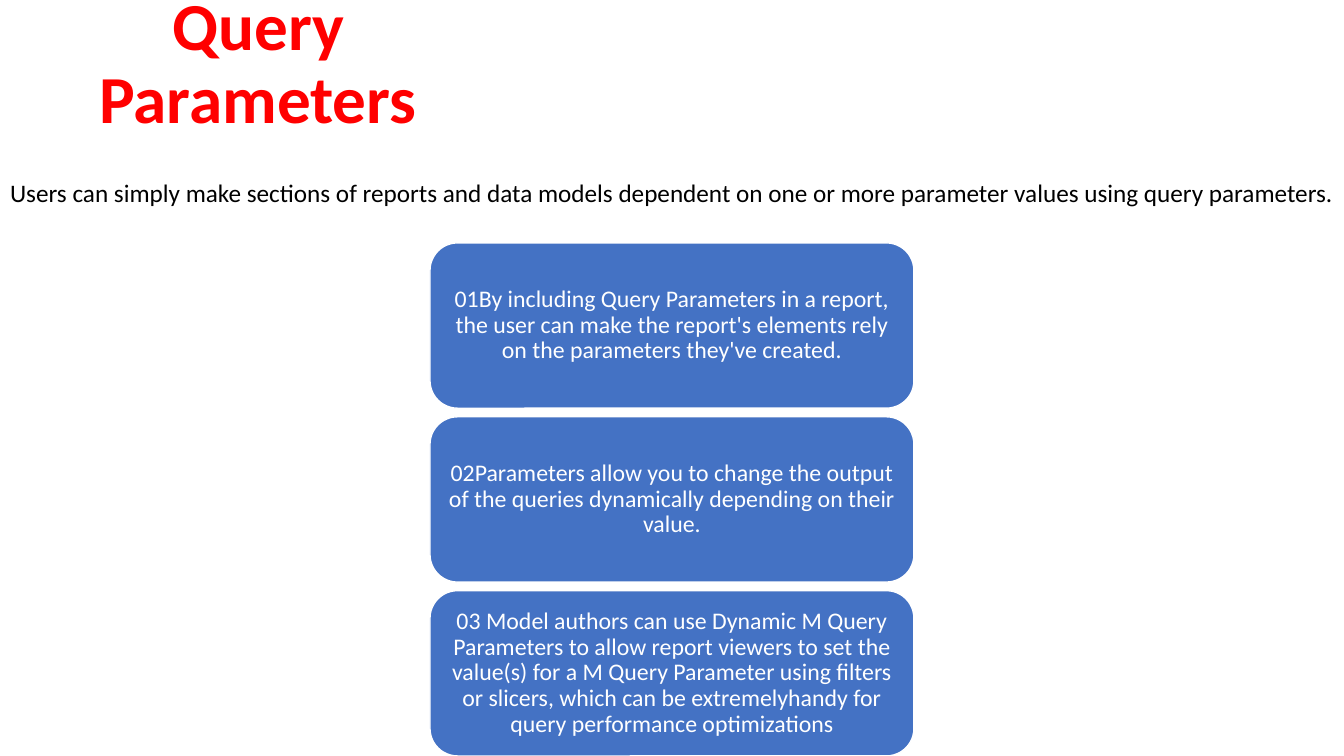
import pptx
import pptx.util
import pptx.dml.color
import pptx.enum.shapes
import pptx.enum.text
import pptx.oxml.ns
import lxml.etree

Inches = pptx.util.Inches
Pt = pptx.util.Pt
Align = pptx.enum.text.PP_ALIGN
Anchor = pptx.enum.text.MSO_ANCHOR

TITLE = "Query Parameters"
INTRO = (
    "Users can simply make sections of reports and data models dependent on "
    "one or more parameter values using query parameters."
)
POINTS = [
    "01By including Query Parameters in a report, the user can make the "
    "report's elements rely on the parameters they've created.",
    "02Parameters allow you to change the output of the queries dynamically "
    "depending on their value.",
    "03 Model authors can use Dynamic M Query Parameters to allow report "
    "viewers to set the value(s) for a M Query Parameter using filters or "
    "slicers, which can be extremelyhandy for query performance optimizations",
]
COLORS = {"title": "FF0000", "text": "000000", "box": "4472C4", "white": "FFFFFF"}
FONT = "Calibri"

SLIDE_WIDTH, SLIDE_HEIGHT = 13.33, 7.5
BOX_WIDTH, BOX_HEIGHT, BOX_GAP = 4.8, 1.64, 0.085
BOX_LEFT = (SLIDE_WIDTH - BOX_WIDTH) / 2
BOX_TOP = SLIDE_HEIGHT - len(POINTS) * BOX_HEIGHT - (len(POINTS) - 1) * BOX_GAP


def color(name):
    return pptx.dml.color.RGBColor.from_string(COLORS[name])


def place(shape, left, top, width, height):
    shape.left, shape.top = Inches(left), Inches(top)
    shape.width, shape.height = Inches(width), Inches(height)


def write(shape, text, size, color_name, align, anchor, spacing=1.0, bold=False):
    """Put one formatted paragraph in the shape and return it."""
    frame = shape.text_frame
    frame.word_wrap = True
    frame.auto_size = pptx.enum.text.MSO_AUTO_SIZE.NONE
    frame.vertical_anchor = anchor
    paragraph = frame.paragraphs[0]
    paragraph.alignment = align
    paragraph.line_spacing = spacing
    paragraph.space_before = Pt(0)
    run = paragraph.add_run()
    run.text = text
    run.font.name = FONT
    run.font.size = Pt(size)
    run.font.bold = bold
    run.font.color.rgb = color(color_name)
    return paragraph


def remove_bullet(paragraph):
    properties = paragraph._p.get_or_add_pPr()
    properties.set("marL", "0")
    properties.set("indent", "0")
    lxml.etree.SubElement(properties, pptx.oxml.ns.qn("a:buNone"))


def add_box(slide, top, text):
    box = slide.shapes.add_shape(
        pptx.enum.shapes.MSO_SHAPE.ROUNDED_RECTANGLE,
        Inches(BOX_LEFT), Inches(top), Inches(BOX_WIDTH), Inches(BOX_HEIGHT),
    )
    box.shadow.inherit = False
    box.fill.solid()
    box.fill.fore_color.rgb = color("box")
    box.line.color.rgb = color("white")
    box.line.width = Pt(1)
    frame = box.text_frame
    frame.margin_left = frame.margin_right = Inches(0.07)
    frame.margin_top = frame.margin_bottom = Inches(0.04)
    write(box, text, 17, "white", Align.CENTER, Anchor.MIDDLE, spacing=0.9)


def main():
    presentation = pptx.Presentation()
    presentation.slide_width = Inches(SLIDE_WIDTH)
    presentation.slide_height = Inches(SLIDE_HEIGHT)
    slide = presentation.slides.add_slide(presentation.slide_layouts[1])

    title = slide.shapes.title
    place(title, 0, 0, 5.12, 1.3)
    write(title, TITLE, 48, "title", Align.CENTER, Anchor.MIDDLE, spacing=0.9, bold=True)

    intro = slide.placeholders[1]
    place(intro, 0, 1.71, SLIDE_WIDTH, 0.71)
    remove_bullet(write(intro, INTRO, 18, "text", Align.JUSTIFY, Anchor.TOP))

    for index, point in enumerate(POINTS):
        add_box(slide, BOX_TOP + index * (BOX_HEIGHT + BOX_GAP), point)

    presentation.save("out.pptx")


if __name__ == "__main__":
    main()
